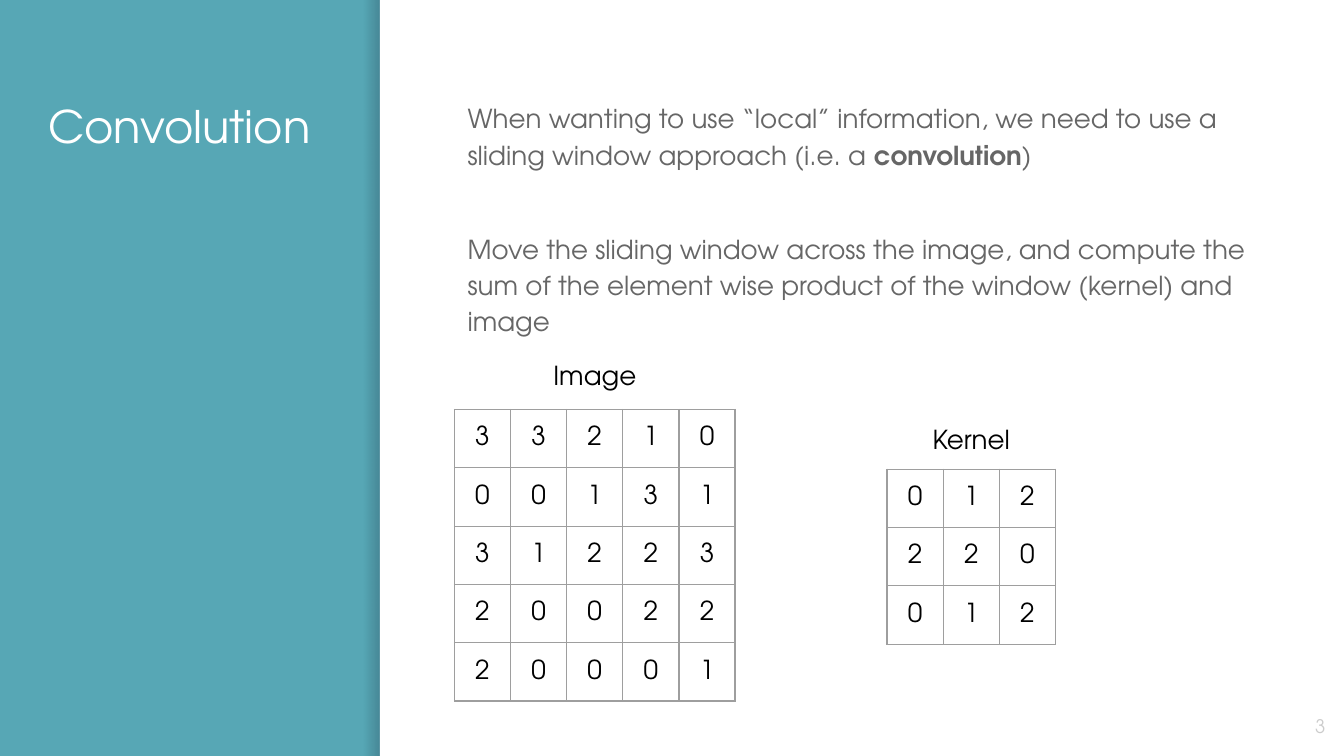
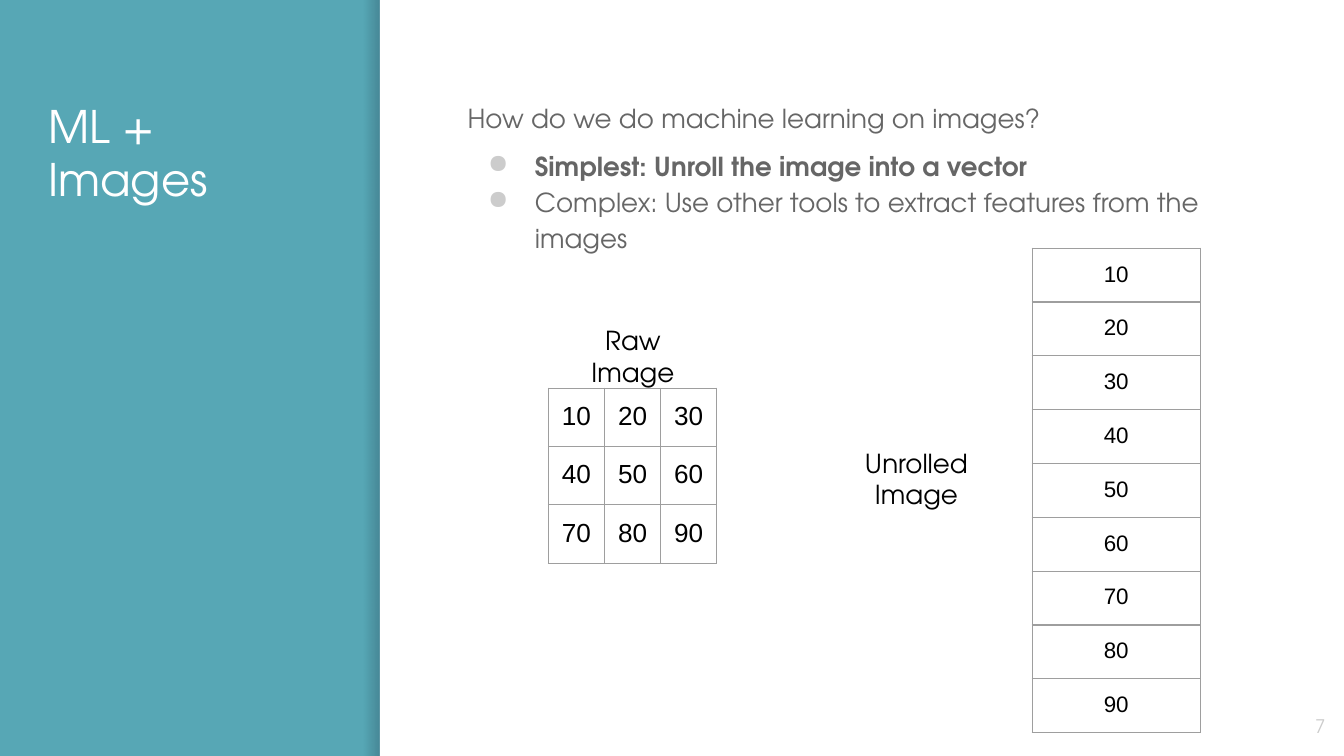
import lxml.etree
import pptx
import pptx.dml.color
import pptx.enum.shapes
import pptx.enum.text
import pptx.oxml.ns
import pptx.util

Pt = pptx.util.Pt
RGBColor = pptx.dml.color.RGBColor
ALIGN = pptx.enum.text.PP_ALIGN
ANCHOR = pptx.enum.text.MSO_ANCHOR
RECT = pptx.enum.shapes.MSO_SHAPE.RECTANGLE
qn = pptx.oxml.ns.qn

TEAL = RGBColor(0x57, 0xA7, 0xB5)
WHITE = RGBColor(0xFF, 0xFF, 0xFF)
BLACK = RGBColor(0x00, 0x00, 0x00)
SHADE = RGBColor(0x00, 0x00, 0x14)
GRAY = RGBColor(0x66, 0x66, 0x66)
PALE = RGBColor(0xCC, 0xCC, 0xCC)
RULE = RGBColor(0x9E, 0x9E, 0x9E)

FONT = "TeX Gyre Adventor"
PLAIN = "Arial"
WIDE, HIGH = 720, 405
SIDE = 203.5
INSET = 7.2
CELL = 30.1

# Boxes are left, top, width, height
TITLE = (18.7, 45.4, 161.3, 313.2)
BODY = (243.4, 45.4, 440.6, 313.2)
PAGE = (673.9, 373.7, 43.2, 31)


def node(parent, tag, **attrs):
    return lxml.etree.SubElement(parent, qn(tag), attrs)


def tint(parent, color):
    return node(parent, "a:srgbClr", val=str(color))


def write(para, text, size, color, font=FONT, bold=False):
    run = para.add_run()
    run.text = text
    run.font.name = font
    run.font.size = Pt(size)
    run.font.bold = bold
    run.font.color.rgb = color


def inset(item):
    """Give a text frame or a table cell equal margins."""
    item.margin_left = item.margin_right = Pt(INSET)
    item.margin_top = item.margin_bottom = Pt(INSET)


def frame(slide, box, anchor=ANCHOR.TOP):
    text = slide.shapes.add_textbox(*map(Pt, box)).text_frame
    text.word_wrap = True
    text.vertical_anchor = anchor
    inset(text)
    return text


def line(slide, box, words, size, color, align=ALIGN.LEFT, anchor=ANCHOR.MIDDLE):
    para = frame(slide, box, anchor).paragraphs[0]
    para.alignment = align
    write(para, words, size, color)


def block(slide, box):
    shape = slide.shapes.add_shape(RECT, *map(Pt, box))
    shape.shadow.inherit = False
    shape.line.fill.background()
    return shape


def base(deck, title, page):
    """Add a slide with the side band, title and page number."""
    slide = deck.slides.add_slide(deck.slide_layouts[6])
    slide.background.fill.solid()
    slide.background.fill.fore_color.rgb = TEAL

    fade = block(slide, (SIDE - 9, 0, 9, HIGH))
    fade.fill.gradient()
    fade.fill.gradient_angle = 0
    for stop in fade.fill.gradient_stops:
        stop.color.rgb = SHADE
    for color, alpha in zip(fade.element.spPr.iter(qn("a:srgbClr")), (0, 20000)):
        node(color, "a:alpha", val=str(alpha))

    sheet = block(slide, (SIDE, 0, WIDE - SIDE, HIGH))
    sheet.fill.solid()
    sheet.fill.fore_color.rgb = WHITE

    line(slide, TITLE, title, 24, WHITE, anchor=ANCHOR.TOP)
    line(slide, PAGE, page, 10, PALE, ALIGN.RIGHT)
    return slide


def dot(para):
    props = para._p.get_or_add_pPr()
    props.set("marL", str(Pt(36)))
    props.set("indent", str(-Pt(25.2)))
    tint(node(props, "a:buClr"), PALE)
    node(props, "a:buChar", char="●")


def prose(slide, box, paras):
    """Each paragraph is space before, bullet flag, list of (text, bold)."""
    text = frame(slide, box)
    for i, (space, mark, runs) in enumerate(paras):
        para = text.add_paragraph() if i else text.paragraphs[0]
        if mark:
            dot(para)
        para.line_spacing = 1.15
        para.space_before = Pt(space)
        for words, bold in runs:
            write(para, words, 14, GRAY, bold=bold)


def edge(cell):
    props = cell._tc.get_or_add_tcPr()
    for side in ("a:lnL", "a:lnR", "a:lnT", "a:lnB"):
        rule = node(props, side, w=str(Pt(0.75)))
        tint(node(rule, "a:solidFill"), RULE)


def grid(slide, left, top, rows, wide=CELL, high=CELL, size=14, font=FONT,
         align=ALIGN.CENTER, anchor=ANCHOR.TOP):
    count = len(rows[0])
    table = slide.shapes.add_table(len(rows), count, Pt(left), Pt(top),
                                   Pt(wide * count), Pt(high * len(rows))).table
    table.first_row = table.horz_banding = False
    for col in table.columns:
        col.width = Pt(wide)
    for row, values in zip(table.rows, rows):
        row.height = Pt(high)
        for cell, value in zip(row.cells, values):
            edge(cell)
            cell.fill.background()
            cell.vertical_anchor = anchor
            inset(cell)
            para = cell.text_frame.paragraphs[0]
            para.alignment = align
            write(para, str(value), size, BLACK, font)


def label(slide, box, words):
    line(slide, box, words, 14, BLACK, ALIGN.CENTER)


def kernel(slide, box):
    """Place the image and kernel grids under the text."""
    left, top = box[:2]
    image = ((3, 3, 2, 1, 0), (0, 0, 1, 3, 1), (3, 1, 2, 2, 3),
             (2, 0, 0, 2, 2), (2, 0, 0, 0, 1))
    window = ((0, 1, 2), (2, 2, 0), (0, 1, 2))
    for x, y, gap, name, rows in ((0, 174, 3, "Image", image),
                                  (231.8, 206, 0.5, "Kernel", window)):
        grid(slide, left + x, top + y, rows, anchor=ANCHOR.MIDDLE)
        label(slide, (left + x, top + y - gap - 31, CELL * len(rows), 31), name)


def unroll(slide, box):
    """Place the square grid and the column it unrolls into."""
    left, top = box[:2]
    values = range(10, 100, 10)
    square = [values[i:i + 3] for i in range(0, 9, 3)]
    grid(slide, left + 50.4, top + 162.6, square, font=PLAIN, align=ALIGN.LEFT)
    grid(slide, left + 309.6, top + 87.6, [[value] for value in values],
         wide=90, high=25.2, size=12, font=PLAIN)
    label(slide, (left + 50.4, top + 128, 90.5, 34.6), "Raw Image")
    label(slide, (left + 202.3, top + 193.6, 90.5, 34.6), "Unrolled Image")


def main():
    deck = pptx.Presentation()
    deck.slide_width, deck.slide_height = Pt(WIDE), Pt(HIGH)

    slide = base(deck, "Convolution", "3")
    prose(slide, BODY, [
        (0, False, [("When wanting to use “local” information, we need to use a "
                     "sliding window approach (i.e. a ", False),
                    ("convolution", True), (")", False)]),
        (31.3, False, [("Move the sliding window across the image, and compute the "
                        "sum of the element wise product of the window (kernel) "
                        "and image", False)]),
    ])
    kernel(slide, BODY)

    slide = base(deck, "ML + Images", "7")
    prose(slide, BODY, [
        (0, False, [("How do we do machine learning on images?", False)]),
        (6, True, [("Simplest: Unroll the image into a vector", True)]),
        (0, True, [("Complex: Use other tools to extract features from the images",
                    False)]),
    ])
    unroll(slide, BODY)

    deck.save("out.pptx")


if __name__ == "__main__":
    main()
